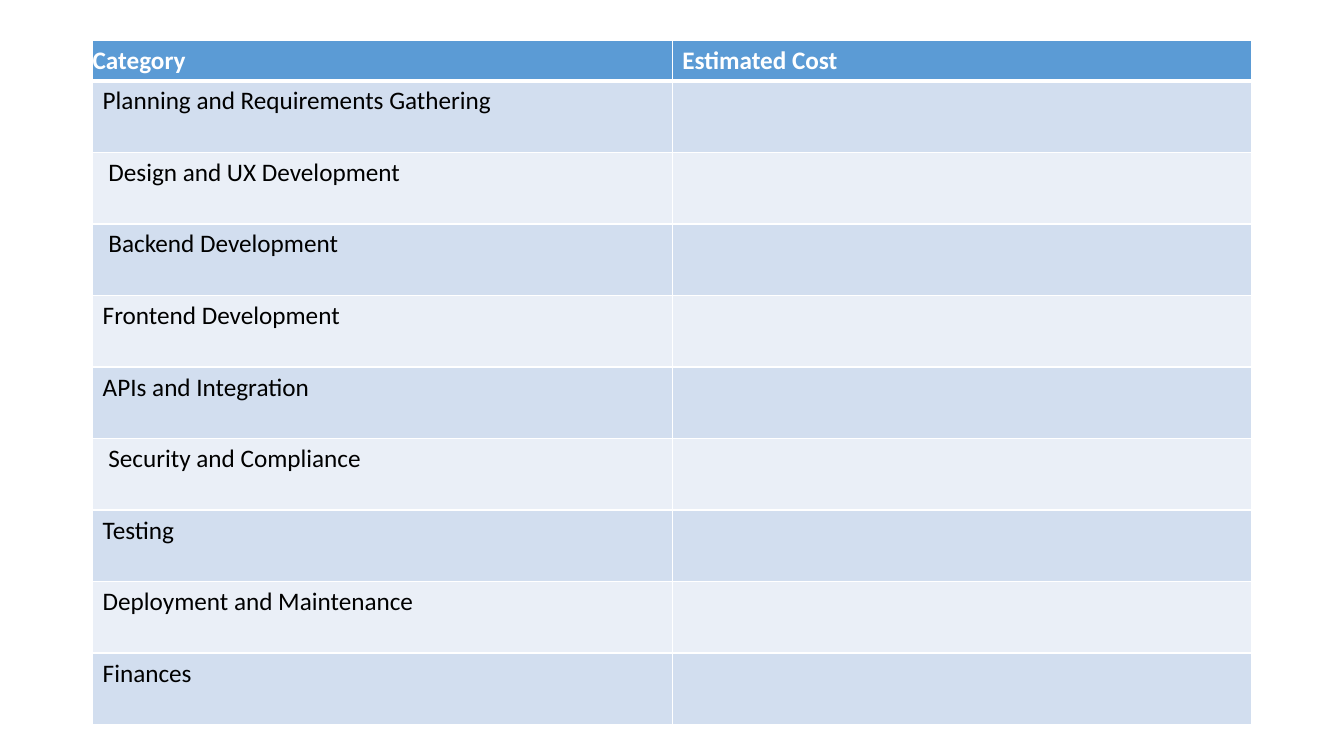
"""Build a one-slide table of project cost categories."""
from dataclasses import dataclass

from lxml.etree import SubElement as Sub
from pptx import Presentation
from pptx.dml.color import RGBColor as Rgb
from pptx.enum.text import MSO_ANCHOR as Anchor
from pptx.oxml.ns import qn
from pptx.table import _Cell as Cell
from pptx.util import Pt


@dataclass(frozen=True)
class Theme:
    font: str = "Calibri"
    size: float = 18
    head: str = "5B9BD5"
    bands: tuple[str, str] = ("D2DEEF", "EAEFF7")
    light: str = "FFFFFF"
    dark: str = "000000"
    thin: float = 1
    thick: float = 3


@dataclass(frozen=True)
class Item:
    label: str
    shift: float = 0


THEME = Theme()
LEFT, TOP = 66.2, 28.8
COL, HEAD, ROW = 414, 29, 51.1
INSET, SPACE = 7.2, 4.07
ITEMS = [
    Item("Planning and Requirements Gathering"),
    Item("Design and UX Development", SPACE),
    Item("Backend Development", SPACE),
    Item("Frontend Development"),
    Item("APIs and Integration"),
    Item("Security and Compliance", SPACE),
    Item("Testing"),
    Item("Deployment and Maintenance"),
    Item("Finances"),
]


def write(cell: Cell, text: str, *, color: str, bold: bool = False) -> None:
    para = cell.text_frame.paragraphs[0]
    para.font.size = Pt(THEME.size)
    if not text:
        return
    run = para.add_run()
    run.text = text
    font = run.font
    font.name, font.size, font.bold = THEME.font, Pt(THEME.size), bold
    font.color.rgb = Rgb.from_string(color)


def edge(cell: Cell, top: float, base: float) -> None:
    props = cell._tc.get_or_add_tcPr()
    sides = {"L": THEME.thin, "R": THEME.thin, "T": top, "B": base}
    for side, width in sides.items():
        line = Sub(props, qn(f"a:ln{side}"), w=str(Pt(width)))
        fill = Sub(line, qn("a:solidFill"))
        Sub(fill, qn("a:srgbClr"), val=THEME.light)


def paint(cell: Cell, color: str) -> None:
    cell.fill.solid()
    cell.fill.fore_color.rgb = Rgb.from_string(color)


def main() -> None:
    deck = Presentation()
    deck.slide_width, deck.slide_height = Pt(960), Pt(540)
    slide = deck.slides.add_slide(deck.slide_layouts[6])
    count = len(ITEMS)
    grid = slide.shapes.add_table(
        count + 1, 2, Pt(LEFT), Pt(TOP), Pt(2 * COL), Pt(HEAD + count * ROW)
    ).table
    for col in grid.columns:
        col.width = Pt(COL)
    grid.rows[0].height = Pt(HEAD)

    for col, title in enumerate(("Category", "Estimated Cost")):
        cell = grid.cell(0, col)
        edge(cell, THEME.thin, THEME.thick)
        paint(cell, THEME.head)
        cell.vertical_anchor = Anchor.MIDDLE
        cell.margin_top = cell.margin_bottom = 0
        cell.margin_left = cell.margin_right = Pt(col * INSET)
        write(cell, title, color=THEME.light, bold=True)

    for row, item in enumerate(ITEMS, 1):
        grid.rows[row].height = Pt(ROW)
        for col, text in enumerate((item.label, "")):
            cell = grid.cell(row, col)
            edge(cell, THEME.thick if row == 1 else THEME.thin, THEME.thin)
            paint(cell, THEME.bands[(row - 1) % 2])
            cell.margin_left = Pt(INSET + item.shift)
            write(cell, text, color=THEME.dark)

    deck.save("out.pptx")


if __name__ == "__main__":
    main()
